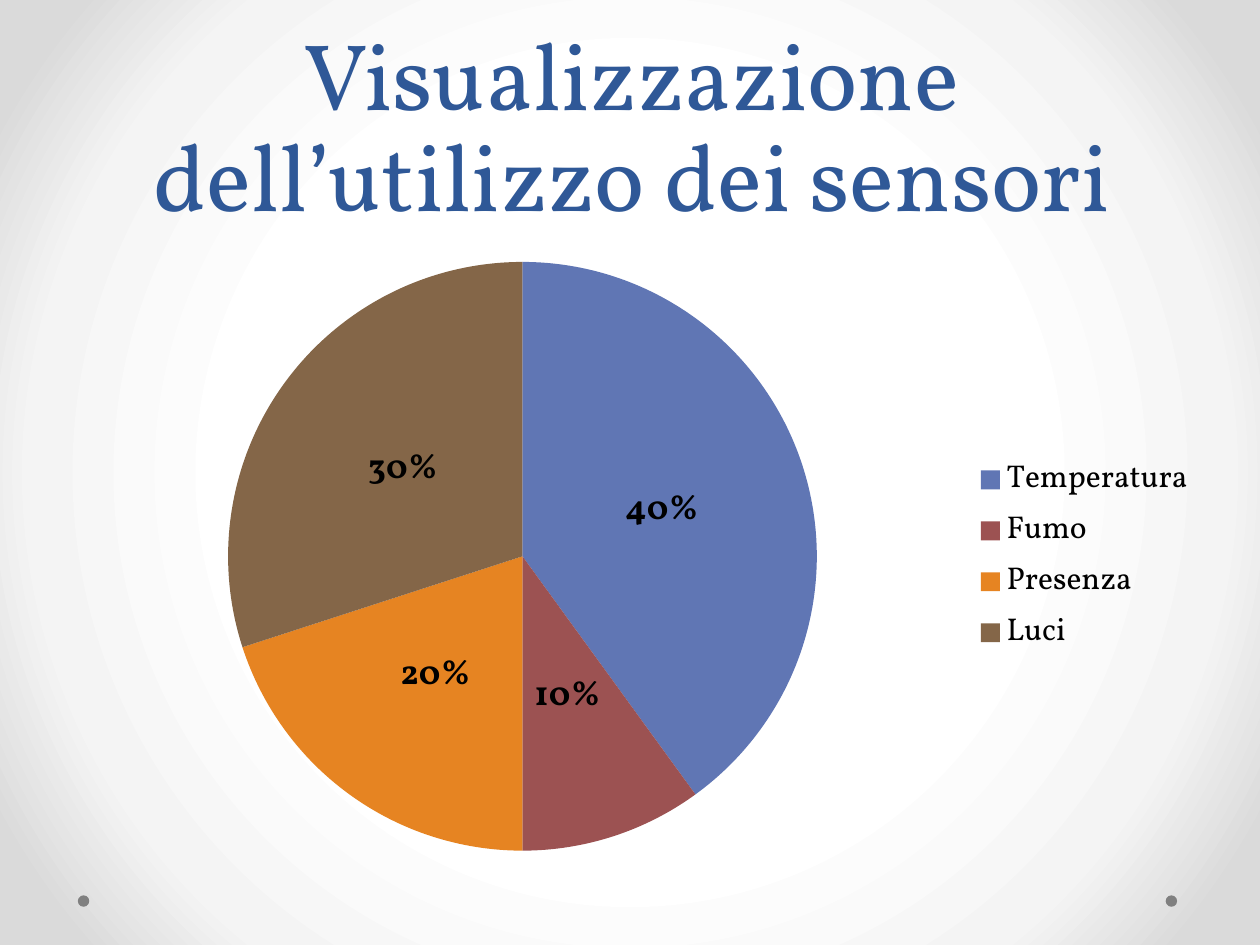
from pptx import Presentation
from pptx import util as u
from pptx.chart import data as chart_data
from pptx.dml.color import RGBColor
from pptx.enum import chart as charts, shapes, text
from pptx.oxml import parse_xml
from pptx.oxml.ns import nsdecls, qn

COLOURS = {"title": "2F5897", "text": "000000", "dot": "808080"}
BACKDROP = {50: "FFFFFF", 76: "F4F4F4", 92: "DADADA"}
SENSORS = {
    "Temperatura": (40, "6076B4"),
    "Fumo": (10, "9C5252"),
    "Presenza": (20, "E68422"),
    "Luci": (30, "846648"),
}


class SensorPage:
    """Holds the style and the current slide."""

    font_name = "Vollkorn"

    def __init__(self, deck):
        """Add a title-only slide to the deck."""
        self.page = deck.slides.add_slide(deck.slide_layouts[5])

    def style(self, font, size, colour, bold=False):
        """Apply the slide's font with a size and colour."""
        font.name = self.font_name
        font.size = u.Pt(size)
        font.bold = bold
        font.color.rgb = RGBColor.from_string(COLOURS[colour])

    def backdrop(self, stops):
        """Fill the background with a circular gradient."""
        self.page.background.fill.gradient()
        gradient = next(self.page.element.iter(qn("a:gradFill")))
        stop_xml = "".join(
            f'<a:gs pos="{place * 1000}"><a:srgbClr val="{colour}"/></a:gs>'
            for place, colour in stops.items())
        gradient.getparent().replace(gradient, parse_xml(
            f'<a:gradFill {nsdecls("a")} rotWithShape="1"><a:gsLst>{stop_xml}</a:gsLst>'
            '<a:path path="circle"><a:fillToRect l="50000" t="50000" r="50000" b="50000"/>'
            '</a:path></a:gradFill>'))

    def dot(self, left, top, size):
        """Draw a small decorative circle."""
        dot = self.page.shapes.add_shape(
            shapes.MSO_SHAPE.OVAL, u.Cm(left), u.Cm(top), u.Cm(size), u.Cm(size))
        dot.shadow.inherit = False
        dot.fill.solid()
        dot.fill.fore_color.rgb = RGBColor.from_string(COLOURS["dot"])
        dot.line.fill.background()

    def title(self, words, left, top, width, height):
        """Place and format the title."""
        box = self.page.shapes.title
        box.left, box.top, box.width, box.height = map(u.Cm, (left, top, width, height))
        frame = box.text_frame
        frame.text = words
        frame.word_wrap = True
        frame.auto_size = text.MSO_AUTO_SIZE.NONE
        frame.vertical_anchor = text.MSO_ANCHOR.BOTTOM
        para = frame.paragraphs[0]
        para.alignment = text.PP_ALIGN.CENTER
        para.line_spacing = u.Pt(58)
        self.style(para.font, 54, "title")

    def pie(self, slices, left, top, width, height):
        """Add a pie chart with percentages and a legend at the right."""
        values = chart_data.CategoryChartData()
        values.categories = list(slices)
        values.add_series("Series 1", [value for value, _ in slices.values()])
        chart = self.page.shapes.add_chart(
            charts.XL_CHART_TYPE.PIE, *map(u.Cm, (left, top, width, height)), values).chart
        self.style(chart.font, 18, "text")
        chart.has_title = False
        chart.has_legend = True
        chart.legend.position = charts.XL_LEGEND_POSITION.RIGHT
        chart.legend.include_in_layout = False
        plot = chart.plots[0]
        plot.vary_by_categories = True
        for index, (_, colour) in enumerate(slices.values()):
            fill = plot.series[0].points[index].format.fill
            fill.solid()
            fill.fore_color.rgb = RGBColor.from_string(colour)
        labels = plot.series[0].data_labels
        labels.show_value = False
        labels.show_percentage = True
        labels.number_format = "0%"
        labels.number_format_is_linked = False
        labels.position = charts.XL_LABEL_POSITION.CENTER
        self.style(labels.font, 20, "text", bold=True)


def main():
    """Build and save the deck."""
    deck = Presentation()
    deck.slide_width, deck.slide_height = u.Cm(25.4), u.Cm(19.05)
    page = SensorPage(deck)
    page.backdrop(BACKDROP)
    for left in (23.5, 1.57):
        page.dot(left, 18.05, 0.23)
    page.title("Visualizzazione dell’utilizzo dei sensori", 1.3, 0.33, 22.86, 4.45)
    page.pie(SENSORS, 1.5, 4.93, 22.86, 12.57)
    deck.save("out.pptx")


main()
